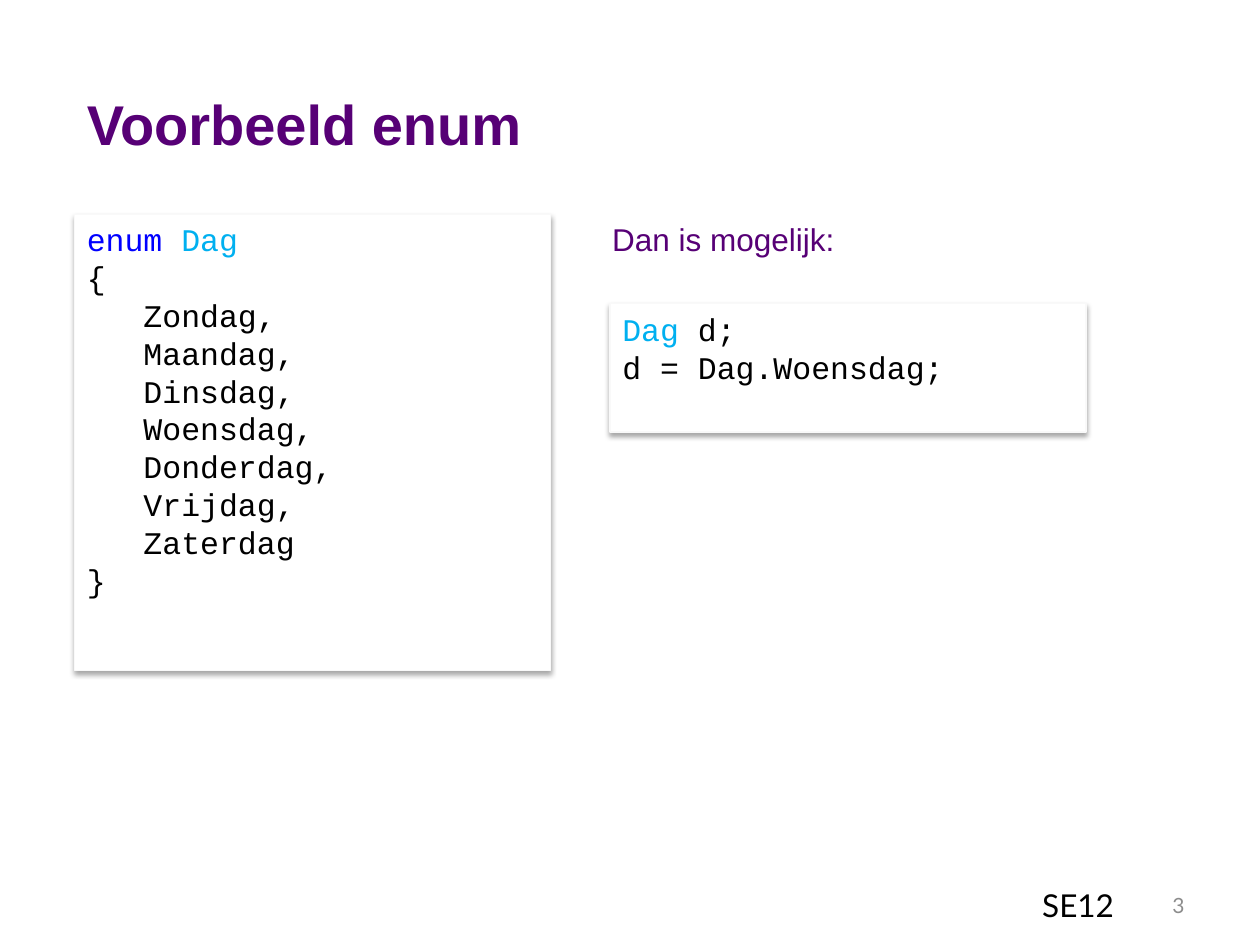
from dataclasses import dataclass
from lxml.etree import SubElement
from pptx import Presentation
from pptx.dml.color import RGBColor
from pptx.enum.shapes import MSO_SHAPE as Preset
from pptx.enum.text import MSO_ANCHOR as Anchor, PP_ALIGN as Align
from pptx.oxml.ns import qn
from pptx.util import Inches, Pt

COLORS = {
    "purple": "570076",
    "keyword": "0000FF",
    "type": "00B0F0",
    "black": "000000",
    "gray": "8C8C8C",
    "white": "FFFFFF",
    "edge": "F9F9F9",
}
WIDTH, HEIGHT = Inches(10), Inches(7.5)
COLUMN, ROW = WIDTH / 100, HEIGHT / 75
CODE_SIZE = 18
CODE_INDENT = Pt(3 * 0.6 * CODE_SIZE)


@dataclass(frozen=True)
class Area:
    column: float
    row: float
    columns: float
    rows: float

    def emu(self) -> tuple[int, int, int, int]:
        return (round(self.column * COLUMN), round(self.row * ROW),
                round(self.columns * COLUMN), round(self.rows * ROW))


@dataclass(frozen=True)
class Label:
    text: str
    area: Area
    size: int
    font: str
    color: str
    bold: bool = False
    align: Align = Align.LEFT
    anchor: Anchor = Anchor.TOP


@dataclass(frozen=True)
class CodeLine:
    tokens: tuple[tuple[str, str], ...]
    indented: bool = False


@dataclass(frozen=True)
class Listing:
    area: Area
    lines: tuple[CodeLine, ...]


def plain(text: str, indented: bool = False) -> CodeLine:
    return CodeLine(((text, "black"),), indented)


def rgb(color: str) -> RGBColor:
    return RGBColor.from_string(COLORS[color])


def style(run, size: int, font: str, color: str, bold: bool = False) -> None:
    run.font.size = Pt(size)
    run.font.name = font
    run.font.bold = bold
    run.font.color.rgb = rgb(color)


def draw_label(slide, label: Label) -> None:
    frame = slide.shapes.add_textbox(*label.area.emu()).text_frame
    frame.word_wrap = True
    frame.vertical_anchor = label.anchor
    frame.text = label.text
    paragraph = frame.paragraphs[0]
    paragraph.alignment = label.align
    style(paragraph.runs[0], label.size, label.font, label.color, label.bold)


def add_soft_shadow(panel) -> None:
    panel.shadow.inherit = False
    effects = panel._element.spPr.find(qn("a:effectLst"))
    shadow = SubElement(effects, qn("a:outerShdw"), blurRad=str(Pt(3.1)),
                        dist=str(Pt(1.8)), dir="5400000", rotWithShape="0")
    tint = SubElement(shadow, qn("a:srgbClr"), val=COLORS["black"])
    SubElement(tint, qn("a:alpha"), val="35000")


def draw_listing(slide, listing: Listing) -> None:
    panel = slide.shapes.add_shape(Preset.RECTANGLE, *listing.area.emu())
    panel.fill.solid()
    panel.fill.fore_color.rgb = rgb("white")
    panel.line.color.rgb = rgb("edge")
    panel.line.width = Pt(0.75)
    add_soft_shadow(panel)
    frame = panel.text_frame
    frame.word_wrap = True
    frame.vertical_anchor = Anchor.TOP
    frame.text = "\n".join("" for _ in listing.lines)
    for paragraph, line in zip(frame.paragraphs, listing.lines):
        paragraph.alignment = Align.LEFT
        if line.indented:
            paragraph._p.get_or_add_pPr().set("marL", str(CODE_INDENT))
        for text, color in line.tokens:
            run = paragraph.add_run()
            run.text = text
            style(run, CODE_SIZE, "Courier New", color)


DAYS = ("Zondag,", "Maandag,", "Dinsdag,", "Woensdag,",
        "Donderdag,", "Vrijdag,", "Zaterdag")

LABELS = (
    Label("Dan is mogelijk:", Area(47.6, 17, 47.4, 47.2), 18, "Arial", "purple"),
    Label("SE12", Area(20.1, 69.8, 69.3, 4), 18, "Lato", "black",
          align=Align.RIGHT),
    Label("3", Area(89.4, 69.8, 5.6, 4), 12, "Lato", "gray",
          align=Align.RIGHT, anchor=Anchor.MIDDLE),
    Label("Voorbeeld enum", Area(5.9, 6, 89.2, 7.5), 32, "Arial", "purple",
          bold=True, anchor=Anchor.MIDDLE),
)

LISTINGS = (
    Listing(Area(5.9, 17, 37.8, 36.2), (
        CodeLine((("enum ", "keyword"), ("Dag", "type"))),
        plain("{"),
        *(plain(day, indented=True) for day in DAYS),
        plain("}"),
    )),
    Listing(Area(48.4, 24.1, 37.8, 10.2), (
        CodeLine((("Dag", "type"), (" d;", "black"))),
        plain("d = Dag.Woensdag;"),
    )),
)


def main() -> None:
    deck = Presentation()
    deck.slide_width, deck.slide_height = WIDTH, HEIGHT
    slide = deck.slides.add_slide(deck.slide_layouts[6])
    for label in LABELS:
        draw_label(slide, label)
    for listing in LISTINGS:
        draw_listing(slide, listing)
    deck.save("out.pptx")


if __name__ == "__main__":
    main()
